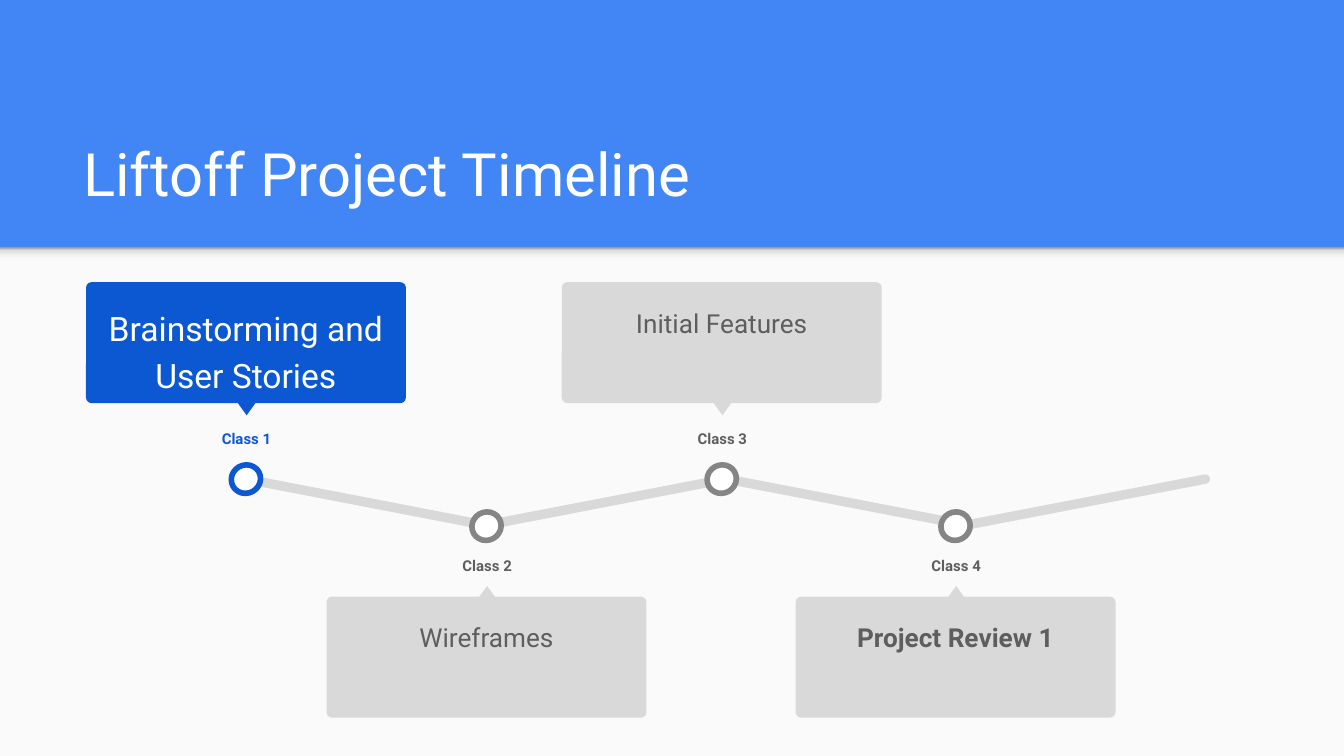
from dataclasses import dataclass

from lxml.etree import SubElement
from pptx import Presentation
from pptx.dml.color import RGBColor
from pptx.enum.shapes import MSO_SHAPE
from pptx.enum.text import MSO_ANCHOR, MSO_AUTO_SIZE, PP_ALIGN
from pptx.oxml.ns import qn
from pptx.util import Inches, Pt

FONT = "Roboto"
BLUE, DEEP_BLUE, WHITE = "4285F4", "0C58D3", "FFFFFF"
PAPER, PALE, GRAY, DARK = "FAFAFA", "D9D9D9", "858585", "5E5E5E"
SHADOW_STOPS = [(0, "F9F9F9"), (36, "F9F9F9"), (80, "DEDEDE"), (100, "999999")]


@dataclass
class Milestone:
    label: str
    text: str
    center: float
    above: bool
    card: str = PALE
    ring: str = GRAY
    label_color: str = DARK
    color: str = DARK
    size: int = 14
    bold: bool = False


MILESTONES = [
    Milestone("Class 1", "Brainstorming and User Stories", 1.83, True,
              DEEP_BLUE, DEEP_BLUE, DEEP_BLUE, WHITE, 18),
    Milestone("Class 2", "Wireframes", 3.62, False),
    Milestone("Class 3", "Initial Features", 5.37, True),
    Milestone("Class 4", "Project Review 1", 7.11, False, bold=True),
]
BAR_LEFTS = [1.78, 3.58, 5.36, 7.15]


def rgb(color: str) -> RGBColor:
    return RGBColor.from_string(color)


def add_shape(shapes, kind, x: float, y: float, w: float, h: float,
              fill: str, rotation: float = 0):
    sp = shapes.add_shape(kind, Inches(x), Inches(y), Inches(w), Inches(h))
    sp.shadow.inherit = False
    sp.fill.solid()
    sp.fill.fore_color.rgb = rgb(fill)
    sp.line.fill.background()
    sp.rotation = rotation
    return sp


def add_run(p, text: str, size: int, color: str, bold: bool = False) -> None:
    r = p.add_run()
    r.text = text
    r.font.name = FONT
    r.font.size = Pt(size)
    r.font.bold = bold
    r.font.color.rgb = rgb(color)


def set_frame(tf, anchor) -> None:
    tf.word_wrap = True
    tf.auto_size = MSO_AUTO_SIZE.NONE
    tf.vertical_anchor = anchor
    tf.margin_left = tf.margin_right = Inches(0.1)
    tf.margin_top = tf.margin_bottom = Inches(0.1)


def add_text(shapes, x: float, y: float, w: float, h: float,
             text: str, size: int, color: str, bold: bool) -> None:
    tf = shapes.add_textbox(Inches(x), Inches(y), Inches(w), Inches(h)).text_frame
    set_frame(tf, MSO_ANCHOR.TOP)
    p = tf.paragraphs[0]
    p.alignment = PP_ALIGN.CENTER
    p.line_spacing = 1.15
    p.space_after = Pt(16)
    add_run(p, text, size, color, bold)


def add_header_shadow(shapes) -> None:
    sp = add_shape(shapes, MSO_SHAPE.RECTANGLE, 0, 1.84, 10, 0.12, PAPER)
    sp.fill.gradient()
    sp.fill.gradient_angle = 90
    stops = sp.fill._fill._gradFill.find(qn("a:gsLst"))
    for stop in list(stops):
        stops.remove(stop)
    for percent, color in SHADOW_STOPS:
        stop = SubElement(stops, qn("a:gs"), pos=str(percent * 1000))
        SubElement(stop, qn("a:srgbClr"), val=color)


def add_title(s, text: str) -> None:
    title = s.shapes.title
    title.left, title.top = Inches(0.52), Inches(0.81)
    title.width, title.height = Inches(8.99), Inches(0.84)
    set_frame(title.text_frame, MSO_ANCHOR.BOTTOM)
    p = title.text_frame.paragraphs[0]
    p.alignment = PP_ALIGN.LEFT
    add_run(p, text, 32, WHITE)


def add_bar(shapes, left: float, rotation: float) -> None:
    bar = add_shape(shapes, MSO_SHAPE.ROUNDED_RECTANGLE, left, 3.7, 1.87, 0.07,
                    PALE, rotation)
    bar.adjustments[0] = 0.5


def add_milestone(s, m: Milestone) -> None:
    """Draw the card, pointer, label and ring of one class as a group."""
    shapes = s.shapes.add_group_shape().shapes
    if m.above:
        card_y, tip_y, label_y, ring_y, turn = 2.1, 3, 3.08, 3.46, 180
    else:
        card_y, tip_y, label_y, ring_y, turn = 4.44, 4.36, 4.02, 3.81, 0

    card = add_shape(shapes, MSO_SHAPE.ROUNDED_RECTANGLE,
                     m.center - 1.19, card_y, 2.38, 0.9, m.card)
    card.adjustments[0] = 0.045
    add_shape(shapes, MSO_SHAPE.ISOSCELES_TRIANGLE,
              m.center - 0.06, tip_y, 0.13, 0.09, m.card, turn)
    add_text(shapes, m.center - 1.13, card_y + 0.05, 2.26, 0.8,
             m.text, m.size, m.color, m.bold)
    add_text(shapes, m.center - 0.48, label_y, 0.97, 0.35,
             m.label, 8, m.label_color, True)
    ring = add_shape(shapes, MSO_SHAPE.OVAL, m.center - 0.11, ring_y, 0.22, 0.21,
                     WHITE, 330.2)
    ring.line.color.rgb = rgb(m.ring)
    ring.line.width = Pt(3)


def main() -> None:
    prs = Presentation()
    prs.slide_width = Inches(10)
    prs.slide_height = prs.slide_width * 9 // 16
    s = prs.slides.add_slide(prs.slide_layouts[5])
    s.background.fill.solid()
    s.background.fill.fore_color.rgb = rgb(BLUE)

    paper = add_shape(s.shapes, MSO_SHAPE.RECTANGLE, 0, 1.84, 10, 3.78, PAPER)
    paper.height = prs.slide_height - paper.top
    add_header_shadow(s.shapes)
    add_title(s, "Liftoff Project Timeline")
    for i, left in enumerate(BAR_LEFTS):
        add_bar(s.shapes, left, 349.1 if i % 2 else 10.9)
    for m in MILESTONES:
        add_milestone(s, m)
    prs.save("out.pptx")


if __name__ == "__main__":
    main()
